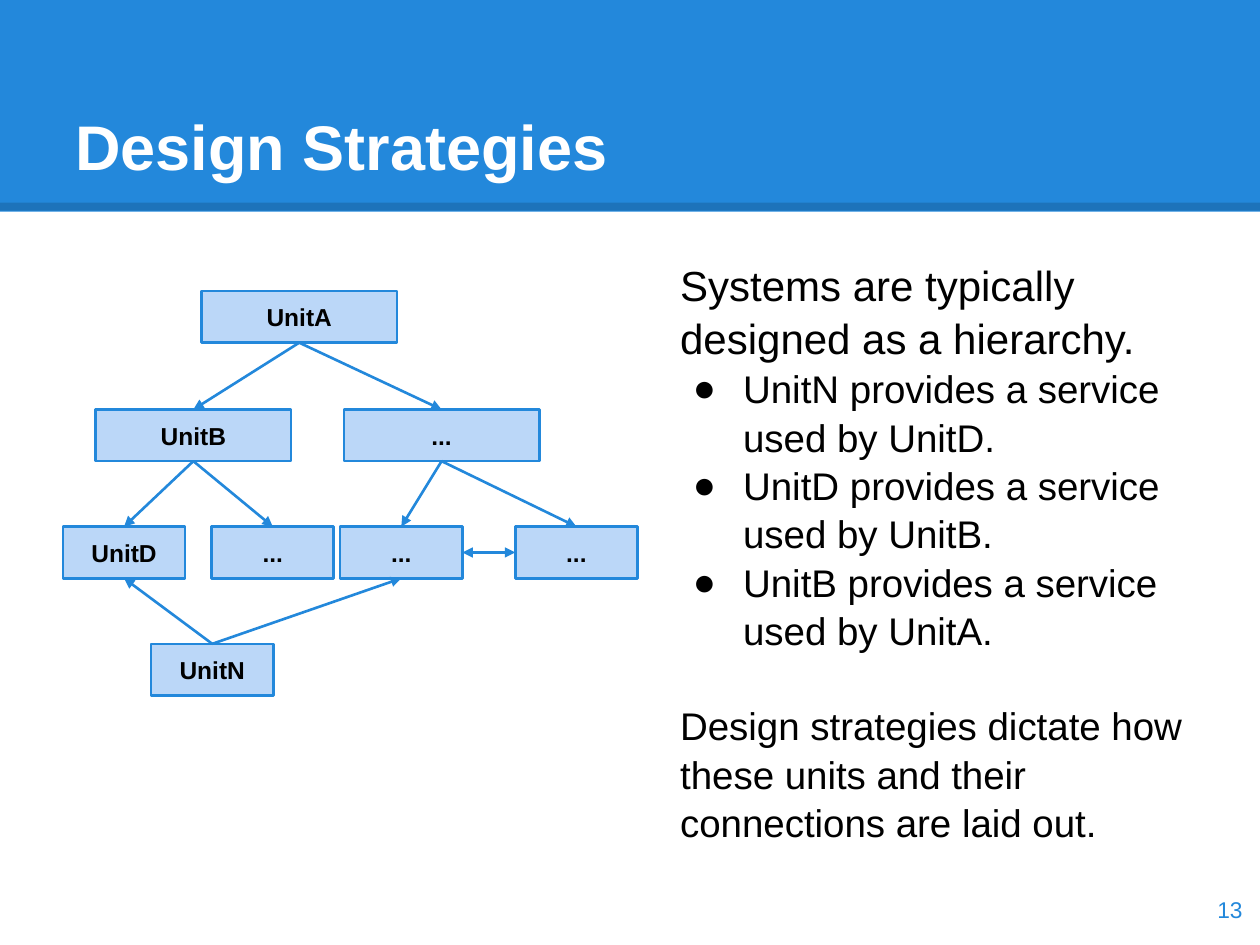
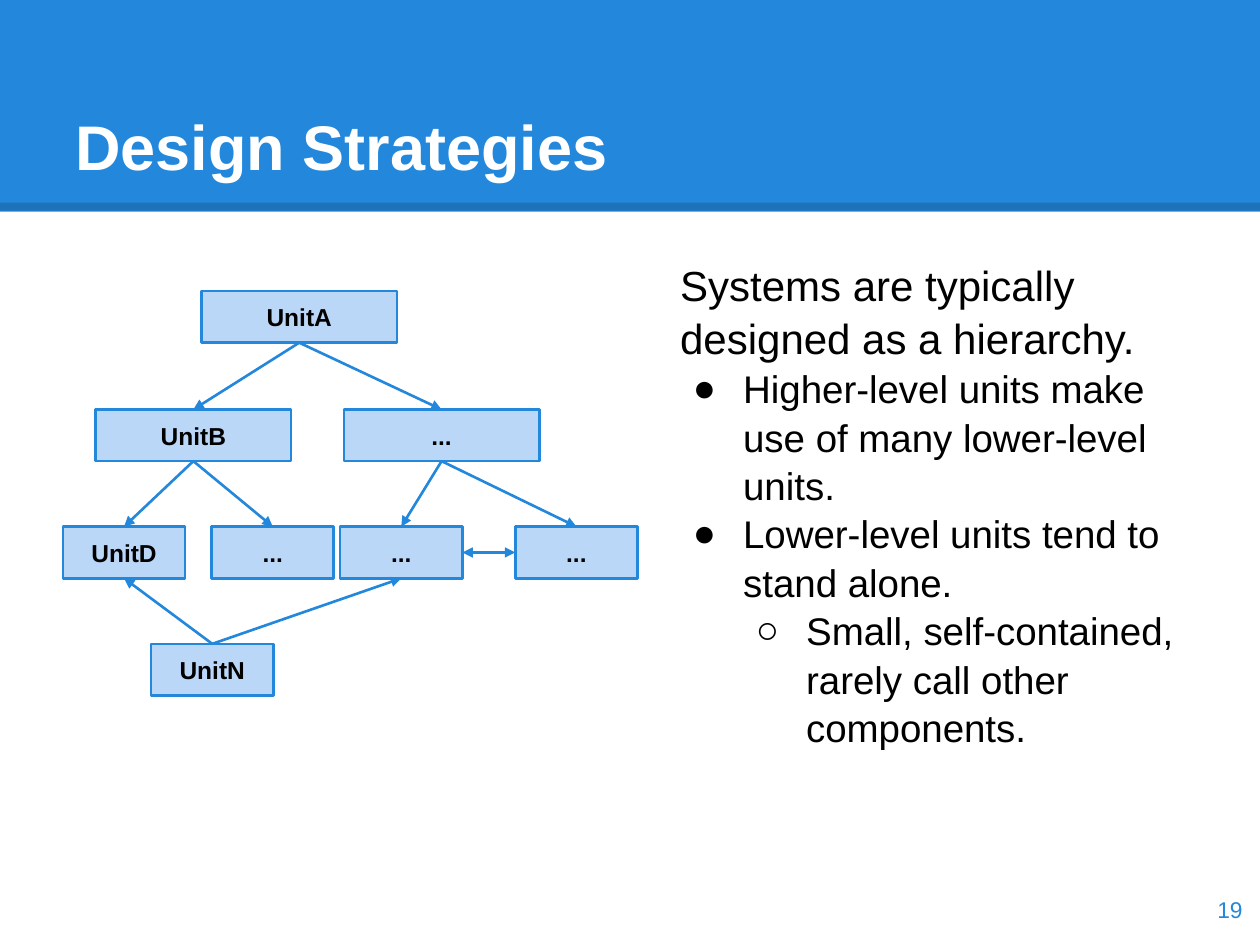
from dataclasses import dataclass

from lxml.etree import SubElement
from pptx import Presentation
from pptx.dml.color import RGBColor
from pptx.enum.shapes import MSO_CONNECTOR as Connector, MSO_SHAPE as Shape
from pptx.enum.text import MSO_ANCHOR as Anchor, PP_ALIGN as Align
from pptx.oxml.ns import qn
from pptx.util import Inches, Pt


@dataclass(frozen=True)
class Theme:
    font: str = "Arial"
    blue: str = "2388DB"
    pale_blue: str = "BBD7F8"
    black: str = "000000"
    white: str = "FFFFFF"
    title_size: int = 36
    lead_size: int = 24
    body_size: int = 22
    node_size: int = 14
    number_size: int = 13
    node_line: float = 1.5
    rule_line: float = 4.5
    rule_opacity: int = 15
    line_spacing: float = 1.05


THEME = Theme()

TITLE = "Design Strategies"
LEAD = ("lead", "Systems are typically designed as a hierarchy.")
SLIDES = [
    {
        "number": "13",
        "body": [
            LEAD,
            ("point", "UnitN provides a service used by UnitD."),
            ("point", "UnitD provides a service used by UnitB."),
            ("point", "UnitB provides a service used by UnitA."),
            ("closing", "Design strategies dictate how these units and their connections are laid out."),
        ],
    },
    {
        "number": "19",
        "body": [
            LEAD,
            ("point", "Higher-level units make use of many lower-level units."),
            ("point", "Lower-level units tend to stand alone."),
            ("subpoint", "Small, self-contained, rarely call other components."),
        ],
    },
]

NODE_HEIGHT = 0.41
HIERARCHY = [
    (2.31, 1.55, [("A", "UnitA", 1.6)]),
    (3.25, 1.55, [("B", "UnitB", 0.76), ("C", "...", 2.73)]),
    (4.18, 0.97, [("D", "UnitD", 0.5), ("E", "...", 1.68), ("F", "...", 2.7), ("G", "...", 4.09)]),
    (5.11, 0.97, [("N", "UnitN", 1.2)]),
]
TOP, LEFT, BOTTOM, RIGHT = range(4)
DOWNWARD = ["AB", "AC", "BD", "BE", "CF", "CG"]
UPWARD = ["ND", "NF"]
PEERS = ["FG"]
ARROWS = (
    [(pair, BOTTOM, TOP, ["tailEnd"]) for pair in DOWNWARD]
    + [(pair, TOP, BOTTOM, ["tailEnd"]) for pair in UPWARD]
    + [(pair, RIGHT, LEFT, ["headEnd", "tailEnd"]) for pair in PEERS]
)

BODY_STYLES = {
    "lead": {"size": THEME.lead_size},
    "point": {"size": THEME.body_size, "bullet": "●", "level": 0},
    "subpoint": {"size": THEME.body_size, "bullet": "○", "level": 1},
    "closing": {"size": THEME.body_size, "space_before": 26.5},
}


def color(value):
    return RGBColor.from_string(value)


def set_values(target, values):
    for name, value in values.items():
        setattr(target, name, value)


def format_frame(frame, anchor):
    margins = {f"margin_{side}": Inches(0.1) for side in ("left", "top", "right", "bottom")}
    set_values(frame, {"word_wrap": True, "vertical_anchor": anchor, **margins})


def write(paragraph, text, size, fill, bold=False, align=Align.LEFT):
    paragraph.alignment = align
    run = paragraph.add_run()
    run.text = text
    set_values(run.font, {"name": THEME.font, "size": Pt(size), "bold": bold})
    run.font.color.rgb = color(fill)


def add_text_box(slide, box, anchor):
    frame = slide.shapes.add_textbox(*map(Inches, box)).text_frame
    format_frame(frame, anchor)
    return frame


def add_rectangle(slide, box, fill):
    shape = slide.shapes.add_shape(Shape.RECTANGLE, *map(Inches, box))
    shape.shadow.inherit = False
    shape.fill.solid()
    shape.fill.fore_color.rgb = color(fill)
    return shape


def add_line(slide, points, stroke, width):
    line = slide.shapes.add_connector(Connector.STRAIGHT, *map(Inches, points))
    line.line.color.rgb = color(stroke)
    line.line.width = Pt(width)
    SubElement(line._element.spPr, qn("a:effectLst"))
    return line


def add_bullet(paragraph, character, level):
    paragraph.level = level
    properties = paragraph._p.get_or_add_pPr()
    properties.set("marL", str(Inches(0.5 * (level + 1))))
    properties.set("indent", str(Inches(-0.4)))
    bullet_color = SubElement(properties, qn("a:buClr"))
    SubElement(bullet_color, qn("a:srgbClr"), val=THEME.black)
    SubElement(properties, qn("a:buFont"), typeface=THEME.font)
    SubElement(properties, qn("a:buChar"), char=character)


def add_frame(slide, number):
    add_rectangle(slide, (0, 0, 10, 1.68), THEME.blue).line.fill.background()
    rule = add_line(slide, (0, 1.64, 10, 1.64), THEME.black, THEME.rule_line)
    rule_color = rule._element.spPr.find(".//" + qn("a:srgbClr"))
    SubElement(rule_color, qn("a:alpha"), val=str(THEME.rule_opacity * 1000))
    title = add_text_box(slide, (0.5, 0.3, 9, 1.25), Anchor.BOTTOM)
    write(title.paragraphs[0], TITLE, THEME.title_size, THEME.white, bold=True)
    footer = add_text_box(slide, (9.36, 6.93, 0.6, 0.57), Anchor.MIDDLE)
    write(footer.paragraphs[0], number, THEME.number_size, THEME.blue, align=Align.RIGHT)


def add_node(slide, box, label):
    node = add_rectangle(slide, box, THEME.pale_blue)
    node.line.color.rgb = color(THEME.blue)
    node.line.width = Pt(THEME.node_line)
    format_frame(node.text_frame, Anchor.MIDDLE)
    write(node.text_frame.paragraphs[0], label, THEME.node_size, THEME.black, True, Align.CENTER)
    return node


def add_hierarchy(slide):
    nodes = {
        key: add_node(slide, (left, top, width, NODE_HEIGHT), label)
        for top, width, units in HIERARCHY
        for key, label, left in units
    }
    for (source, target), start, end, heads in ARROWS:
        arrow = add_line(slide, (0, 0, 0, 0), THEME.blue, THEME.node_line)
        arrow.begin_connect(nodes[source], start)
        arrow.end_connect(nodes[target], end)
        for head in heads:
            SubElement(arrow.line._get_or_add_ln(), qn(f"a:{head}"), type="triangle")


def add_body(slide, body):
    frame = add_text_box(slide, (5.3, 1.94, 4.2, 4.25), Anchor.TOP)
    for index, (kind, text) in enumerate(body):
        paragraph = frame.add_paragraph() if index else frame.paragraphs[0]
        style = BODY_STYLES[kind]
        if "bullet" in style:
            add_bullet(paragraph, style["bullet"], style["level"])
        paragraph.line_spacing = THEME.line_spacing
        if "space_before" in style:
            paragraph.space_before = Pt(style["space_before"])
        write(paragraph, text, style["size"], THEME.black)


def main():
    presentation = Presentation()
    set_values(presentation, {"slide_width": Inches(10), "slide_height": Inches(7.5)})
    for content in SLIDES:
        slide = presentation.slides.add_slide(presentation.slide_layouts[6])
        add_frame(slide, content["number"])
        add_hierarchy(slide)
        add_body(slide, content["body"])
    presentation.save("out.pptx")


if __name__ == "__main__":
    main()
